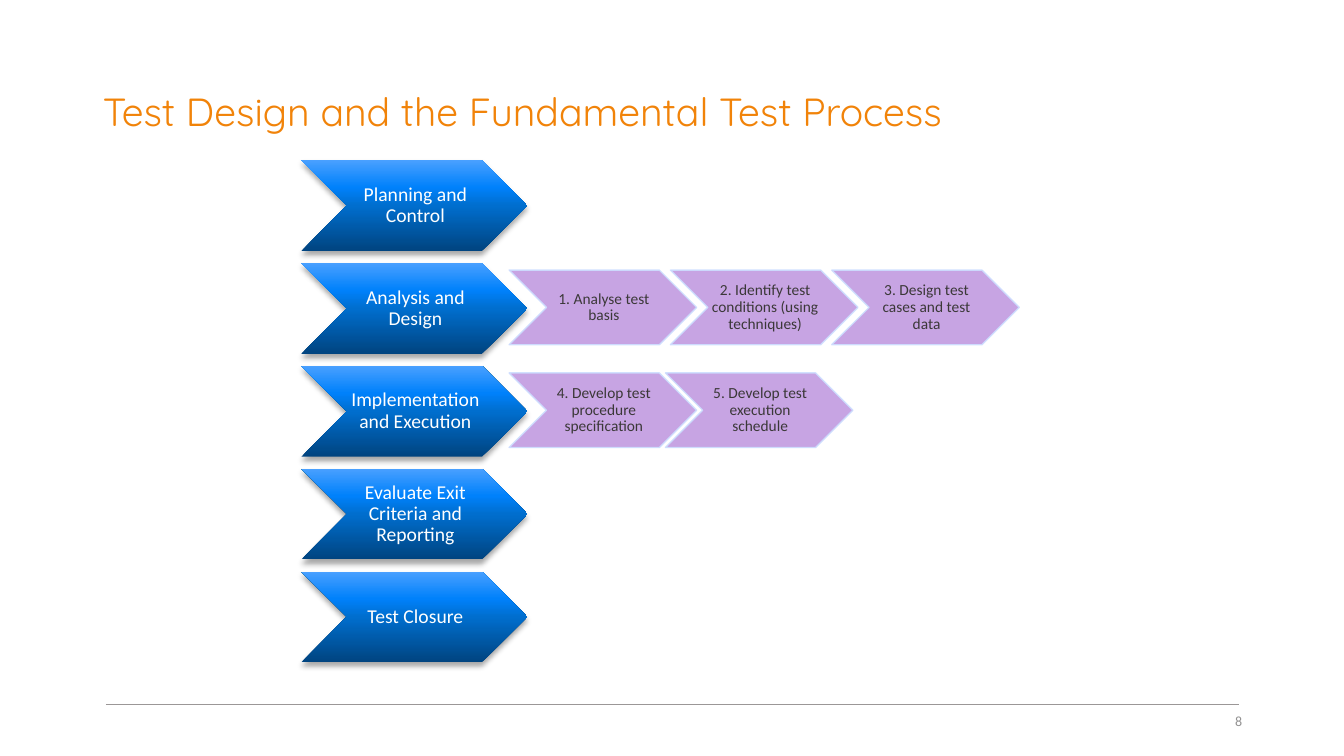
from lxml import etree
from pptx import Presentation
from pptx import util as u
from pptx.dml.color import RGBColor
from pptx.enum import shapes, text
from pptx.oxml.ns import qn

EMU_PER_PX = 9144

ORANGE = RGBColor(0xF1, 0x83, 0x09)
WHITE = RGBColor(0xFF, 0xFF, 0xFF)
BLACK = RGBColor(0x00, 0x00, 0x00)
PURPLE = RGBColor(0xC2, 0x9B, 0xE0)
PALE_BLUE = RGBColor(0xCD, 0xDE, 0xFF)
CHARCOAL = RGBColor(0x3B, 0x38, 0x38)
RULE_GREY = RGBColor(0x9B, 0x97, 0x97)
NUMBER_GREY = RGBColor(0x92, 0x91, 0x91)
BLUE_STOPS = [
    (0, RGBColor(0x00, 0x44, 0x80)),
    (50, RGBColor(0x00, 0x6E, 0xCE)),
    (70, RGBColor(0x00, 0x81, 0xFB)),
    (100, RGBColor(0x49, 0xA0, 0xFF)),
]

PHASE_LEFT, PHASE_TOP, PHASE_PITCH = 299, 159, 102
PHASE_SIZE = (224, 90)
STEP_LEFT, STEP_DROP = 505, 7
STEP_SIZE = (186, 74)

PHASES = [
    ("Planning and Control", 0, []),
    ("Analysis and Design", 160, [
        "1. Analyse test basis",
        "2. Identify test conditions (using techniques)",
        "3. Design test cases and test data",
    ]),
    ("Implementation and Execution", 155, [
        "4. Develop test procedure specification",
        "5. Develop test execution schedule",
    ]),
    ("Evaluate Exit Criteria and Reporting", 0, []),
    ("Test Closure", 0, []),
]


def px(*lengths):
    return [u.Emu(length * EMU_PER_PX) for length in lengths]


def write(frame, words, size, color, font="Calibri",
          align=text.PP_ALIGN.CENTER, spacing=0.9, insets=None):
    frame.word_wrap = True
    frame.auto_size = text.MSO_AUTO_SIZE.NONE
    frame.vertical_anchor = text.MSO_ANCHOR.MIDDLE
    if insets:
        (frame.margin_left, frame.margin_top,
         frame.margin_right, frame.margin_bottom) = px(*insets)
    paragraph = frame.paragraphs[0]
    paragraph.alignment = align
    paragraph.line_spacing = spacing
    run = paragraph.add_run()
    run.text = words
    run.font.name = font
    run.font.size = u.Pt(size)
    run.font.color.rgb = color


def add_color(parent, color, alpha=100):
    element = etree.SubElement(parent, qn("a:srgbClr"), val=str(color))
    if alpha < 100:
        etree.SubElement(element, qn("a:alpha"), val=str(alpha * 1000))


class ProcessSlide:
    chevron_insets = (2, 1, 0, 1)

    def __init__(self, presentation):
        self.slide = presentation.slides.add_slide(presentation.slide_layouts[5])

    def title(self, words, *box):
        title = self.slide.shapes.title
        title.left, title.top, title.width, title.height = px(*box)
        write(title.text_frame, words, 28, ORANGE, font="Quicksand",
              align=text.PP_ALIGN.LEFT)

    def rule(self, left, right, top):
        line = self.slide.shapes.add_connector(
            shapes.MSO_CONNECTOR.STRAIGHT, *px(left, top, right, top))
        line.line.color.rgb = RULE_GREY
        line.line.width = u.Pt(1)
        etree.SubElement(line.element.spPr, qn("a:effectLst"))

    def page_number(self, words, *box):
        label = self.slide.shapes.add_textbox(*px(*box))
        write(label.text_frame, words, 10, NUMBER_GREY,
              align=text.PP_ALIGN.RIGHT, spacing=1.0)

    def chevron(self, words, left, top, box_size, size, color):
        shape = self.slide.shapes.add_shape(
            shapes.MSO_SHAPE.CHEVRON, *px(left, top, *box_size))
        shape.shadow.inherit = False
        write(shape.text_frame, words, size, color, insets=self.chevron_insets)
        return shape

    def phase(self, words, left, top):
        shape = self.chevron(words, left, top, PHASE_SIZE, 14, WHITE)
        shape.line.fill.background()
        shape.fill.gradient()
        shape.fill.gradient_angle = 90
        properties = shape.element.spPr
        stops = properties.find(".//" + qn("a:gsLst"))
        for stop in list(stops):
            stops.remove(stop)
        for position, color in BLUE_STOPS:
            stop = etree.SubElement(stops, qn("a:gs"), pos=str(position * 1000))
            add_color(stop, color)
        shadow = etree.SubElement(
            properties.find(qn("a:effectLst")), qn("a:outerShdw"),
            blurRad=str(u.Pt(4)), dist=str(u.Pt(3)), dir="5400000",
            rotWithShape="0")
        add_color(shadow, BLACK, 35)

    def step(self, words, left, top):
        shape = self.chevron(words, left, top, STEP_SIZE, 11, CHARCOAL)
        shape.fill.solid()
        shape.fill.fore_color.rgb = PURPLE
        shape.line.color.rgb = PALE_BLUE
        shape.line.width = u.Pt(1)
        for color in shape.element.spPr.iter(qn("a:srgbClr")):
            etree.SubElement(color, qn("a:alpha"), val="90000")


def main():
    presentation = Presentation()
    presentation.slide_width, presentation.slide_height = px(1333, 750)
    page = ProcessSlide(presentation)
    page.rule(105, 1229, 699)
    page.title("Test Design and the Fundamental Test Process", 92, 40, 1150, 145)
    for row, (name, pitch, steps) in enumerate(PHASES):
        top = PHASE_TOP + row * PHASE_PITCH
        page.phase(name, PHASE_LEFT, top)
        for column, step in enumerate(steps):
            page.step(step, STEP_LEFT + column * pitch, top + STEP_DROP)
    page.page_number("8", 942, 695, 300, 40)
    presentation.save("out.pptx")


if __name__ == "__main__":
    main()
